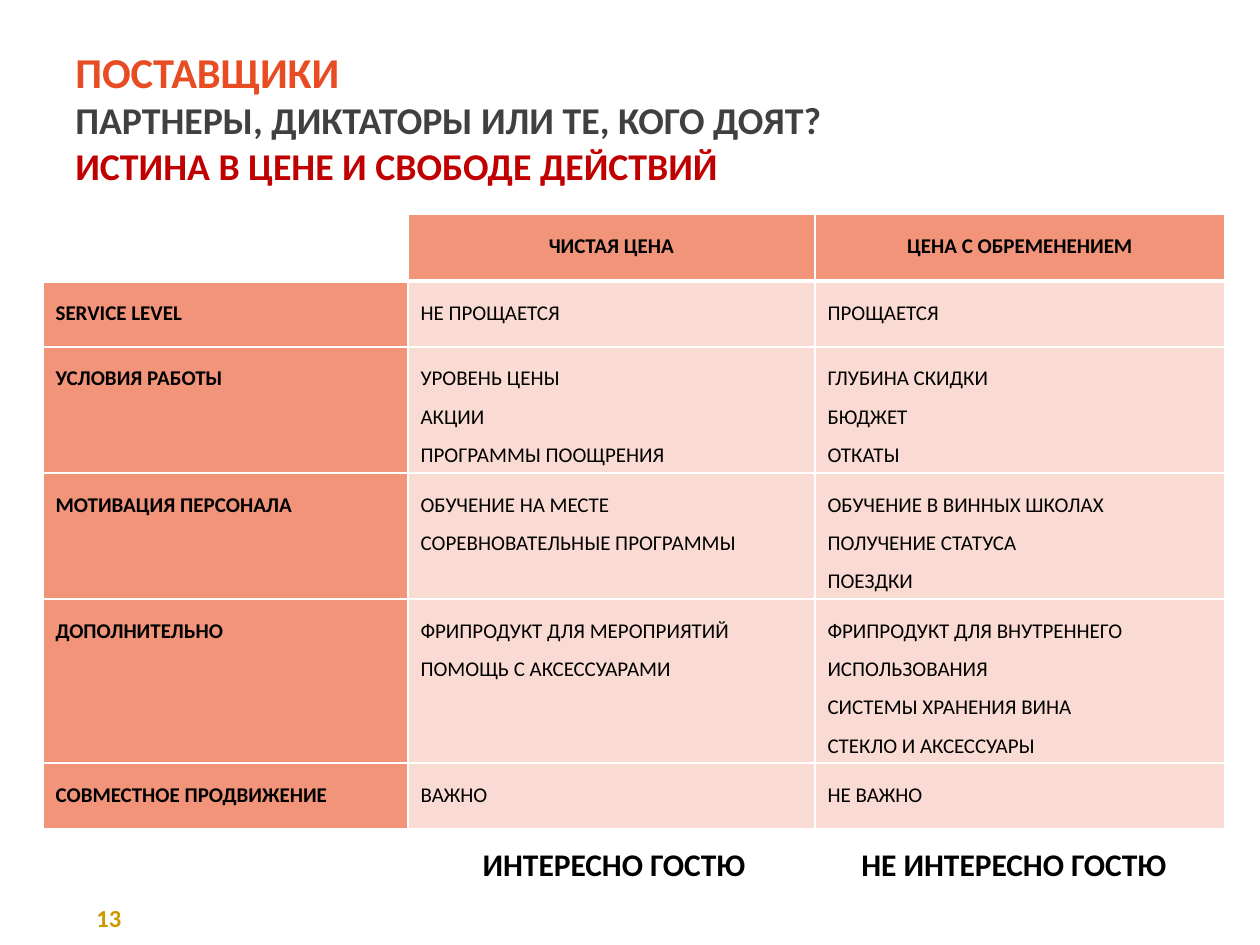
import pptx
import pptx.util
import pptx.dml.color
import pptx.enum.text
import pptx.oxml
import pptx.oxml.ns

EMU_PER_PIXEL = 914400 // 126
FONT = "Calibri"
COLOURS = {
    "orange": "E84C22", "grey": "404040", "red": "C00000", "gold": "CC9900",
    "black": "000000", "white": "FFFFFF", "salmon": "F1947A", "blush": "FADBD3",
}
CENTRE = pptx.enum.text.PP_ALIGN.CENTER
LEFT = pptx.enum.text.PP_ALIGN.LEFT

COLUMN_WIDTHS = (365, 407, 410)
ROW_HEIGHTS = (67, 66, 126, 126, 164, 66)
COMPARISON = (
    ("", "ЧИСТАЯ ЦЕНА", "ЦЕНА С ОБРЕМЕНЕНИЕМ"),
    ("SERVICE LEVEL", "НЕ ПРОЩАЕТСЯ", "ПРОЩАЕТСЯ"),
    ("УСЛОВИЯ РАБОТЫ",
     "УРОВЕНЬ ЦЕНЫ\nАКЦИИ\nПРОГРАММЫ ПООЩРЕНИЯ",
     "ГЛУБИНА СКИДКИ\nБЮДЖЕТ\nОТКАТЫ"),
    ("МОТИВАЦИЯ ПЕРСОНАЛА",
     "ОБУЧЕНИЕ НА МЕСТЕ\nСОРЕВНОВАТЕЛЬНЫЕ ПРОГРАММЫ",
     "ОБУЧЕНИЕ В ВИННЫХ ШКОЛАХ\nПОЛУЧЕНИЕ СТАТУСА\nПОЕЗДКИ"),
    ("ДОПОЛНИТЕЛЬНО",
     "ФРИПРОДУКТ ДЛЯ МЕРОПРИЯТИЙ\nПОМОЩЬ С АКСЕССУАРАМИ",
     "ФРИПРОДУКТ ДЛЯ ВНУТРЕННЕГО ИСПОЛЬЗОВАНИЯ\n"
     "СИСТЕМЫ ХРАНЕНИЯ ВИНА\nСТЕКЛО И АКСЕССУАРЫ"),
    ("СОВМЕСТНОЕ ПРОДВИЖЕНИЕ", "ВАЖНО", "НЕ ВАЖНО"),
)


def px(pixels):
    """Turn whole pixels into EMU."""
    return pptx.util.Emu(pixels * EMU_PER_PIXEL)


def rgb(name):
    """Look up a named colour."""
    return pptx.dml.color.RGBColor.from_string(COLOURS[name])


def style_paragraph(paragraph, size, colour, bold=True, align=LEFT):
    """Set the font and alignment of one paragraph."""
    paragraph.alignment = align
    font = paragraph.font
    font.name, font.size, font.bold = FONT, pptx.util.Pt(size), bold
    font.color.rgb = rgb(colour)


def add_text(slide, box, lines, align=LEFT):
    """Add a text box with one paragraph per (wording, size, colour)."""
    frame = slide.shapes.add_textbox(*map(px, box)).text_frame
    frame.word_wrap = True
    frame.vertical_anchor = pptx.enum.text.MSO_ANCHOR.MIDDLE
    frame.text = "\n".join(wording for wording, _, _ in lines)
    for paragraph, (_, size, colour) in zip(frame.paragraphs, lines):
        style_paragraph(paragraph, size, colour, align=align)


def set_borders(cell, bottom_width):
    """Draw white cell borders, the bottom one with its own width."""
    properties = cell._tc.get_or_add_tcPr()
    widths = {"lnL": 1, "lnR": 1, "lnT": 1, "lnB": bottom_width}
    for position, (side, points) in enumerate(widths.items()):
        properties.insert(position, pptx.oxml.parse_xml(
            f'<a:{side} {pptx.oxml.ns.nsdecls("a")} w="{points * 12700}">'
            f'<a:solidFill><a:srgbClr val="{COLOURS["white"]}"/></a:solidFill>'
            f'</a:{side}>'))


def fill_cell(cell, wording, is_header, is_label):
    """Write and colour one cell of the comparison."""
    set_borders(cell, 3 if is_header else 1)
    if not wording:
        cell.fill.background()
        return
    emphasised = is_header or is_label
    cell.fill.solid()
    cell.fill.fore_color.rgb = rgb("salmon" if emphasised else "blush")
    cell.text = wording
    for paragraph in cell.text_frame.paragraphs:
        paragraph.line_spacing = 1.5
        style_paragraph(paragraph, 12, "black", emphasised,
                        CENTRE if is_header else LEFT)


def add_comparison(slide, left, top):
    """Add the table that compares the two kinds of price."""
    table = slide.shapes.add_table(
        len(ROW_HEIGHTS), len(COLUMN_WIDTHS), px(left), px(top),
        px(sum(COLUMN_WIDTHS)), px(sum(ROW_HEIGHTS))).table
    table.horz_banding = False
    for column, width in zip(table.columns, COLUMN_WIDTHS):
        column.width = px(width)
    for row_index, (row, height) in enumerate(zip(table.rows, ROW_HEIGHTS)):
        row.height = px(height)
        for column_index, cell in enumerate(row.cells):
            fill_cell(cell, COMPARISON[row_index][column_index],
                      row_index == 0, column_index == 0)


def main():
    """Build and save the slide."""
    deck = pptx.Presentation()
    deck.slide_width, deck.slide_height = px(1260), px(945)
    slide = deck.slides.add_slide(deck.slide_layouts[6])
    add_text(slide, (84, 896, 86, 43), [("13", 14, "gold")])
    add_comparison(slide, 43, 214)
    add_text(slide, (63, 38, 1134, 158), [
        ("ПОСТАВЩИКИ", 24.3, "orange"),
        ("ПАРТНЕРЫ, ДИКТАТОРЫ ИЛИ ТЕ, КОГО ДОЯТ?", 21.6, "grey"),
        ("ИСТИНА В ЦЕНЕ И СВОБОДЕ ДЕЙСТВИЙ", 21.6, "red"),
    ])
    for left, width, verdict in ((420, 388, "ИНТЕРЕСНО ГОСТЮ"),
                                 (805, 418, "НЕ ИНТЕРЕСНО ГОСТЮ")):
        add_text(slide, (left, 838, width, 51), [(verdict, 18, "black")], CENTRE)
    deck.save("out.pptx")


main()
